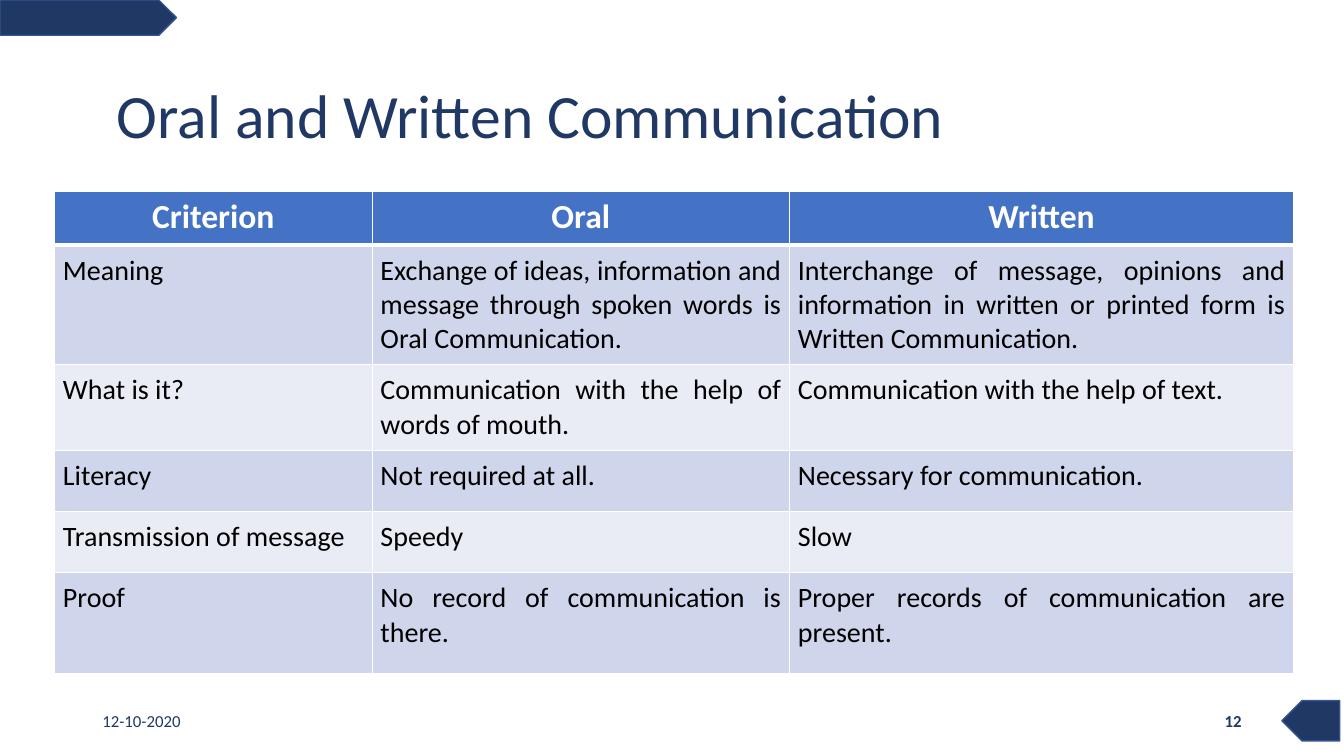
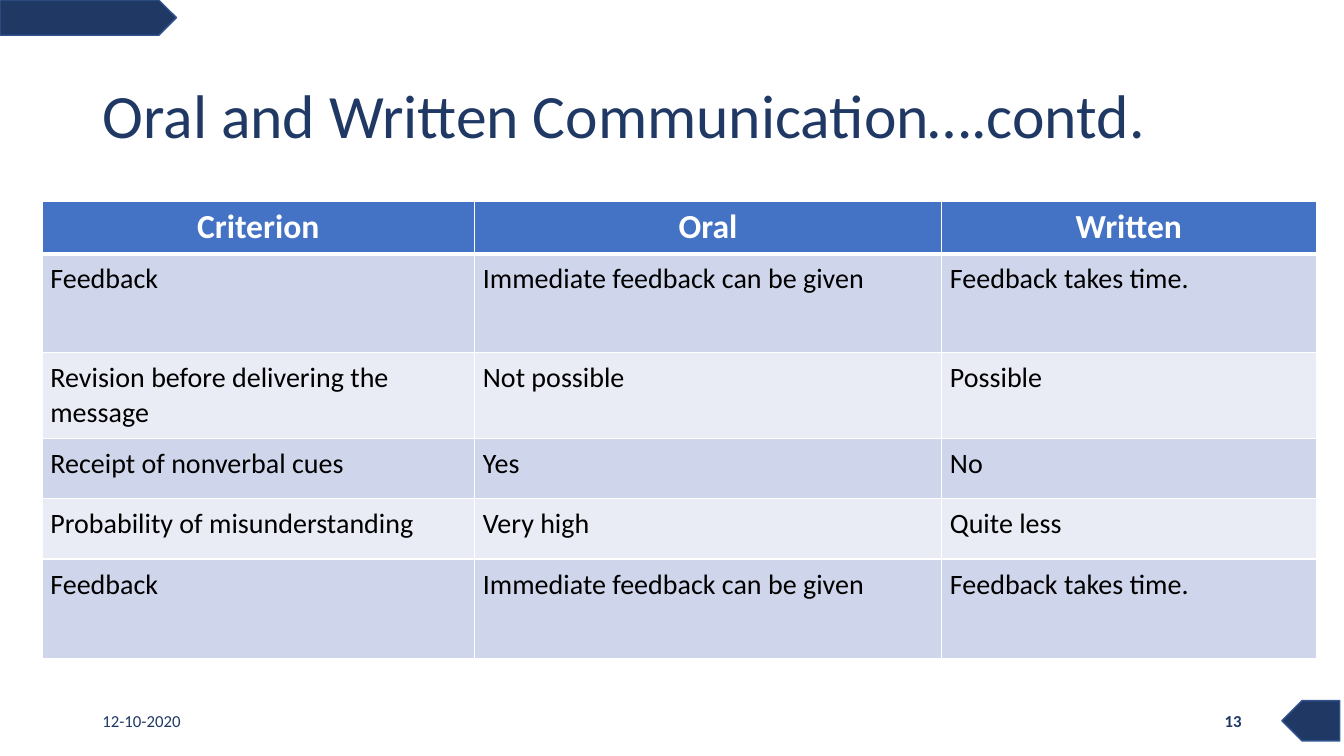
import pptx
import pptx.dml.color
import pptx.enum.shapes
import pptx.enum.text
import pptx.oxml
import pptx.oxml.ns
import pptx.util

ALIGN = pptx.enum.text.PP_ALIGN
MIDDLE = pptx.enum.text.MSO_ANCHOR.MIDDLE

# The slide is a grid of square cells, 160 columns by 90 rows.
COLUMNS, ROWS = 160, 90
CELL = pptx.util.Inches(7.5) // ROWS

COLORS = {
    "navy": "203864",
    "navy_edge": "325491",
    "header": "4472C4",
    "band_dark": "CFD5EA",
    "band_light": "E9EBF5",
    "white": "FFFFFF",
    "black": "000000",
}
FONT = "Calibri"
MARGIN = 11
CONTENT_WIDTH = 138
FOOTER_TOP, FOOTER_HEIGHT, FOOTER_WIDTH = 83.4, 4.8, 36
DATE = "12-10-2020"
HEADINGS = ("Criterion", "Oral", "Written")

SLIDES = [
    {
        "title": "Oral and Written Communication",
        "title_indent": 1.7,
        "number": "12",
        "corner": (6.5, 22.8),
        "columns": (37.8, 49.7, 60),
        "rows": (6.4, 11.9, 9.4, 7.3, 7.3, 12),
        "alignment": ALIGN.JUSTIFY,
        "body": [
            ("Meaning",
             "Exchange of ideas, information and message through spoken words "
             "is Oral Communication.",
             "Interchange of message, opinions and information in written or "
             "printed form is Written Communication."),
            ("What is it?", "Communication with the help of words of mouth.",
             "Communication with the help of text."),
            ("Literacy", "Not required at all.", "Necessary for communication."),
            ("Transmission of message", "Speedy", "Slow"),
            ("Proof", "No record of communication is there.",
             "Proper records of communication are present."),
        ],
    },
    {
        "title": "Oral and Written Communication….contd.",
        "title_indent": 0,
        "number": "13",
        "corner": (5, 24),
        "columns": (51.5, 55.6, 44.6),
        "rows": (6.2, 11.8, 7.2, 7.2, 7.2, 11.8),
        "alignment": ALIGN.LEFT,
        "body": [
            ("Feedback", "Immediate feedback can be given", "Feedback takes time."),
            ("Revision before delivering the message", "Not possible", "Possible"),
            ("Receipt of nonverbal cues", "Yes", "No"),
            ("Probability of misunderstanding", "Very high", "Quite less"),
            ("Feedback", "Immediate feedback can be given", "Feedback takes time."),
        ],
    },
]


def grid(*cells):
    """Turn grid cells into lengths."""
    return [pptx.util.Emu(round(count * CELL)) for count in cells]


def rgb(name):
    return pptx.dml.color.RGBColor.from_string(COLORS[name])


def write(text_frame, text, size, color, alignment=ALIGN.LEFT, bold=False):
    text_frame.text = text
    paragraph = text_frame.paragraphs[0]
    paragraph.alignment = alignment
    font = paragraph.font
    font.name, font.size, font.bold = FONT, pptx.util.Pt(size), bold
    font.color.rgb = rgb(color)
    return paragraph


def add_tag(slide, left, top, width, height, rotation=0):
    """Add a pentagon to the slide's layout, so that every slide shows it."""
    tag = slide.shapes.add_shape(
        pptx.enum.shapes.MSO_SHAPE.PENTAGON, *grid(left, top, width, height))
    tag.rotation = rotation
    tag.shadow.inherit = False
    tag.fill.solid()
    tag.fill.fore_color.rgb = rgb("navy")
    tag.line.color.rgb = rgb("navy_edge")
    tag.line.width = pptx.util.Pt(1)
    slide.slide_layout.shapes.element.append(tag.element)


def set_title(slide, text, indent):
    title = slide.shapes.title
    title.left, title.top, title.width, title.height = grid(
        MARGIN, 5.4, CONTENT_WIDTH, 17.4)
    frame = title.text_frame
    frame.auto_size = pptx.enum.text.MSO_AUTO_SIZE.NONE
    frame.vertical_anchor = MIDDLE
    frame.margin_left = grid(1.2 + indent)[0]
    write(frame, text, 44, "navy").line_spacing = 0.9


def add_footer_text(slide, left, text, alignment, bold=False):
    box = slide.shapes.add_textbox(
        *grid(left, FOOTER_TOP, FOOTER_WIDTH, FOOTER_HEIGHT))
    frame = box.text_frame
    frame.word_wrap = True
    frame.vertical_anchor = MIDDLE
    write(frame, text, 12, "navy", alignment, bold)


def set_borders(cell, top, bottom):
    """Draw white borders; top and bottom are widths in points."""
    properties = cell._tc.get_or_add_tcPr()
    sides = {"lnL": 1, "lnR": 1, "lnT": top, "lnB": bottom}
    for position, (side, width) in enumerate(sides.items()):
        properties.insert(position, pptx.oxml.parse_xml(
            f'<a:{side} {pptx.oxml.ns.nsdecls("a")} w="{pptx.util.Pt(width)}">'
            f'<a:solidFill><a:srgbClr val="{COLORS["white"]}"/></a:solidFill>'
            f'</a:{side}>'))


def format_cell(cell, text, row, alignment):
    cell.fill.solid()
    if row == 0:
        cell.fill.fore_color.rgb = rgb("header")
        write(cell.text_frame, text, 24, "white", ALIGN.CENTER, bold=True)
    else:
        cell.fill.fore_color.rgb = rgb("band_dark" if row % 2 else "band_light")
        cell.margin_left = cell.margin_right = grid(1)[0]
        cell.margin_top = cell.margin_bottom = grid(1)[0]
        write(cell.text_frame, text, 20, "black", alignment)
    set_borders(cell, top=3 if row == 1 else 1, bottom=3 if row == 0 else 1)


def add_comparison(slide, corner, columns, rows, body, alignment):
    table = slide.shapes.add_table(
        len(rows), len(columns), *grid(*corner, sum(columns), sum(rows))).table
    for column, width in zip(table.columns, grid(*columns)):
        column.width = width
    for row, height in zip(table.rows, grid(*rows)):
        row.height = height
    for row, texts in enumerate([HEADINGS, *body]):
        for column, text in enumerate(texts):
            format_cell(table.cell(row, column), text, row, alignment)


def main():
    presentation = pptx.Presentation()
    presentation.slide_width, presentation.slide_height = grid(COLUMNS, ROWS)
    layout = presentation.slide_layouts.get_by_name("Title Only")

    for content in SLIDES:
        slide = presentation.slides.add_slide(layout)
        set_title(slide, content["title"], content["title_indent"])
        add_comparison(slide, content["corner"], content["columns"],
                       content["rows"], content["body"], content["alignment"])
        add_footer_text(slide, MARGIN, DATE, ALIGN.LEFT)
        add_footer_text(slide, MARGIN + CONTENT_WIDTH - FOOTER_WIDTH,
                        content["number"], ALIGN.RIGHT, bold=True)

    first_slide = presentation.slides[0]
    add_tag(first_slide, 0, 0, 21, 4.2)
    add_tag(first_slide, 152.6, FOOTER_TOP, 6.9, FOOTER_HEIGHT, rotation=180)
    presentation.save("out.pptx")


if __name__ == "__main__":
    main()
